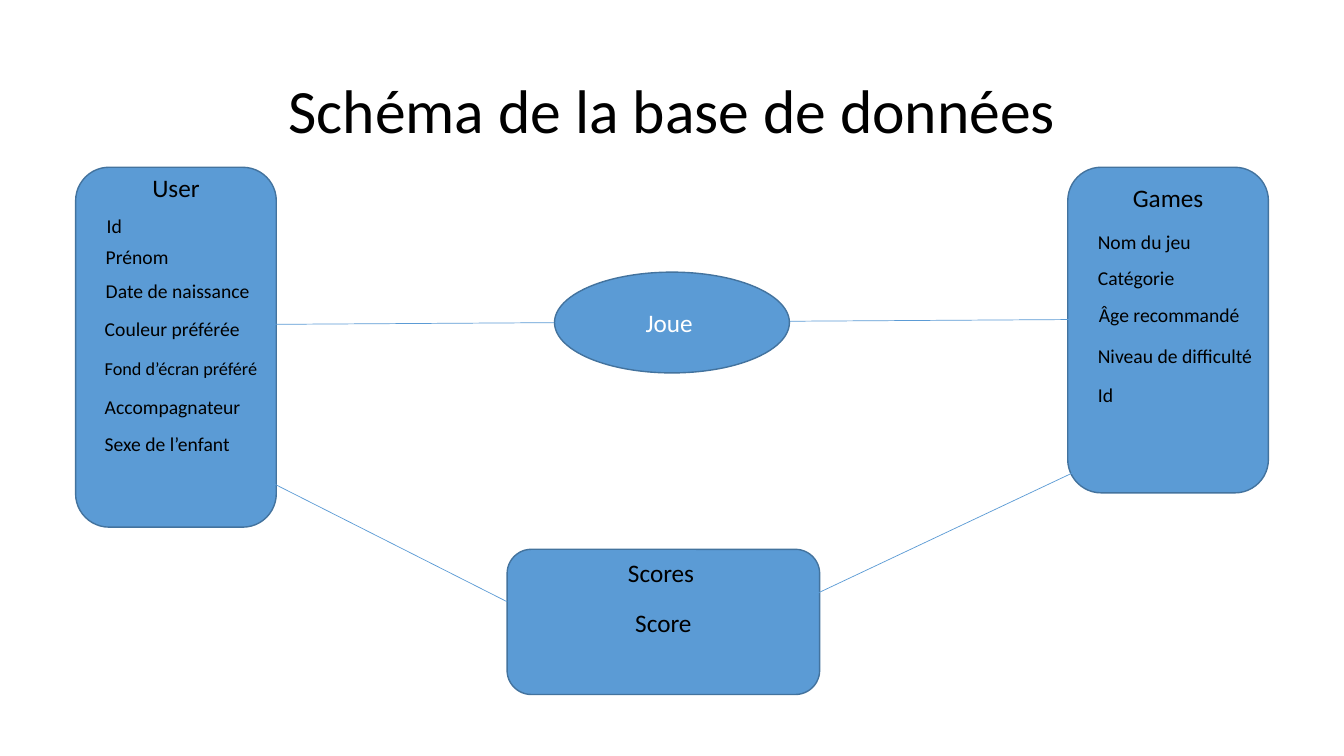
import pptx
import pptx.dml.color
import pptx.enum.shapes
import pptx.enum.text
import pptx.util
from lxml import etree
from pptx.util import Inches

COLOURS = {"fill": "5B9BD5", "outline": "43739E", "text": "000000", "label": "FFFFFF"}
SHAPES = pptx.enum.shapes.MSO_SHAPE
ALIGN = pptx.enum.text.PP_ALIGN
ANCHOR = pptx.enum.text.MSO_ANCHOR

# Attributes of each table: text, left, top
USER_FIELDS = [
    ("Id", 0.96, 2.07),
    ("Prénom", 0.95, 2.38),
    ("Date de naissance", 0.95, 2.72),
    ("Couleur préférée", 0.94, 3.09),
    ("Fond d’écran préféré", 0.94, 3.5),
    ("Accompagnateur", 0.94, 3.87),
    ("Sexe de l’enfant", 0.94, 4.24),
]
GAME_FIELDS = [
    ("Nom du jeu", 10.79, 2.23),
    ("Catégorie", 10.79, 2.59),
    ("Âge recommandé", 10.8, 2.96),
    ("Niveau de difficulté", 10.79, 3.36),
    ("Id", 10.79, 3.75),
]


def colour(name):
    return pptx.dml.color.RGBColor.from_string(COLOURS[name])


def write(shape, text, size=18, ink="text", align=ALIGN.CENTER, anchor=ANCHOR.TOP, spacing=1.0):
    frame = shape.text_frame
    frame.word_wrap = True
    frame.vertical_anchor = anchor
    para = frame.paragraphs[0]
    para.alignment = align
    para.line_spacing = spacing
    span = para.add_run()
    span.text = text
    span.font.name = "Calibri"
    span.font.size = pptx.util.Pt(size)
    span.font.color.rgb = colour(ink)


def add_text(page, text, left, top, width, height=0.4, **style):
    box = page.shapes.add_textbox(Inches(left), Inches(top), Inches(width), Inches(height))
    write(box, text, **style)


def add_block(page, kind, left, top, width, height):
    block = page.shapes.add_shape(kind, Inches(left), Inches(top), Inches(width), Inches(height))
    block.shadow.inherit = False
    block.fill.solid()
    block.fill.fore_color.rgb = colour("fill")
    block.line.color.rgb = colour("outline")
    block.line.width = pptx.util.Pt(1)
    return block


def add_link(page, start, end):
    points = [Inches(value) for value in start + end]
    link = page.shapes.add_connector(pptx.enum.shapes.MSO_CONNECTOR.STRAIGHT, *points)
    link.line.color.rgb = colour("fill")
    link.line.width = pptx.util.Pt(0.5)
    etree.SubElement(link._element.spPr, pptx.oxml.ns.qn("a:effectLst"))


def add_fields(page, fields, width):
    for text, left, top in fields:
        size = 13 if text.startswith("Fond") else 14
        add_text(page, text, left, top, width, 0.34, size=size, align=ALIGN.LEFT)


def main():
    deck = pptx.Presentation()
    deck.slide_width, deck.slide_height = Inches(13.33), Inches(7.5)
    page = deck.slides.add_slide(deck.slide_layouts[6])

    # Title
    add_text(page, "Schéma de la base de données", 0.92, 0.4, 11.5, 1.45,
             size=44, anchor=ANCHOR.MIDDLE, spacing=0.9)

    # Tables
    add_block(page, SHAPES.ROUNDED_RECTANGLE, 0.75, 1.66, 1.99, 3.57)
    add_block(page, SHAPES.ROUNDED_RECTANGLE, 10.59, 1.66, 1.99, 3.23)
    add_block(page, SHAPES.ROUNDED_RECTANGLE, 5.03, 5.45, 3.1, 1.44)

    # Links, then the relation that sits on them
    add_link(page, (2.54, 4.71), (5.03, 5.97))
    add_link(page, (7.95, 5.96), (10.79, 4.62))
    add_link(page, (2.38, 3.22), (10.69, 3.17))
    relation = add_block(page, SHAPES.OVAL, 5.5, 2.7, 2.33, 1)
    write(relation, "Joue ", ink="label", anchor=ANCHOR.MIDDLE)

    # Table names and attributes
    add_text(page, "User", 1.25, 1.66, 0.99)
    add_fields(page, USER_FIELDS, 1.79)
    add_text(page, "Games", 11.01, 1.76, 1.15)
    add_fields(page, GAME_FIELDS, 1.89)
    add_text(page, "Scores", 6.13, 5.48, 0.89, align=ALIGN.LEFT)
    add_text(page, "Score", 5.85, 5.98, 1.46)

    deck.save("out.pptx")


if __name__ == "__main__":
    main()
